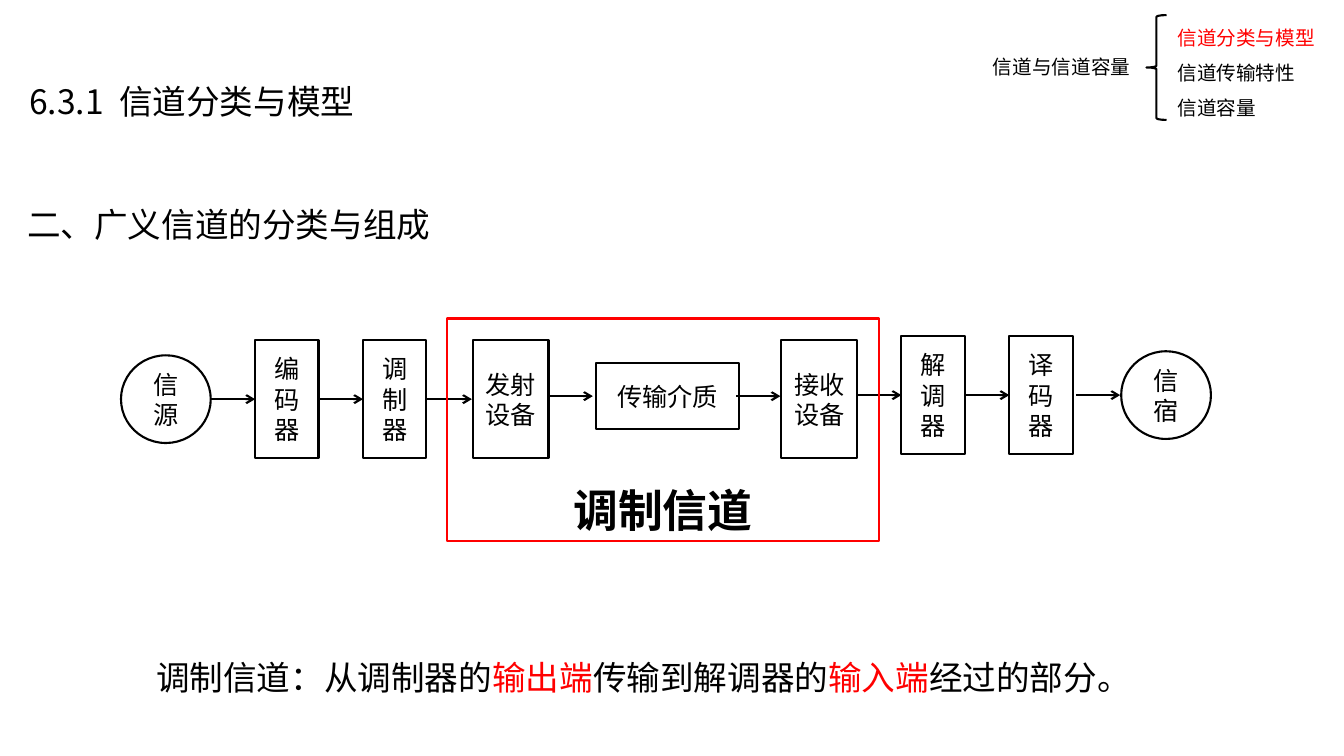
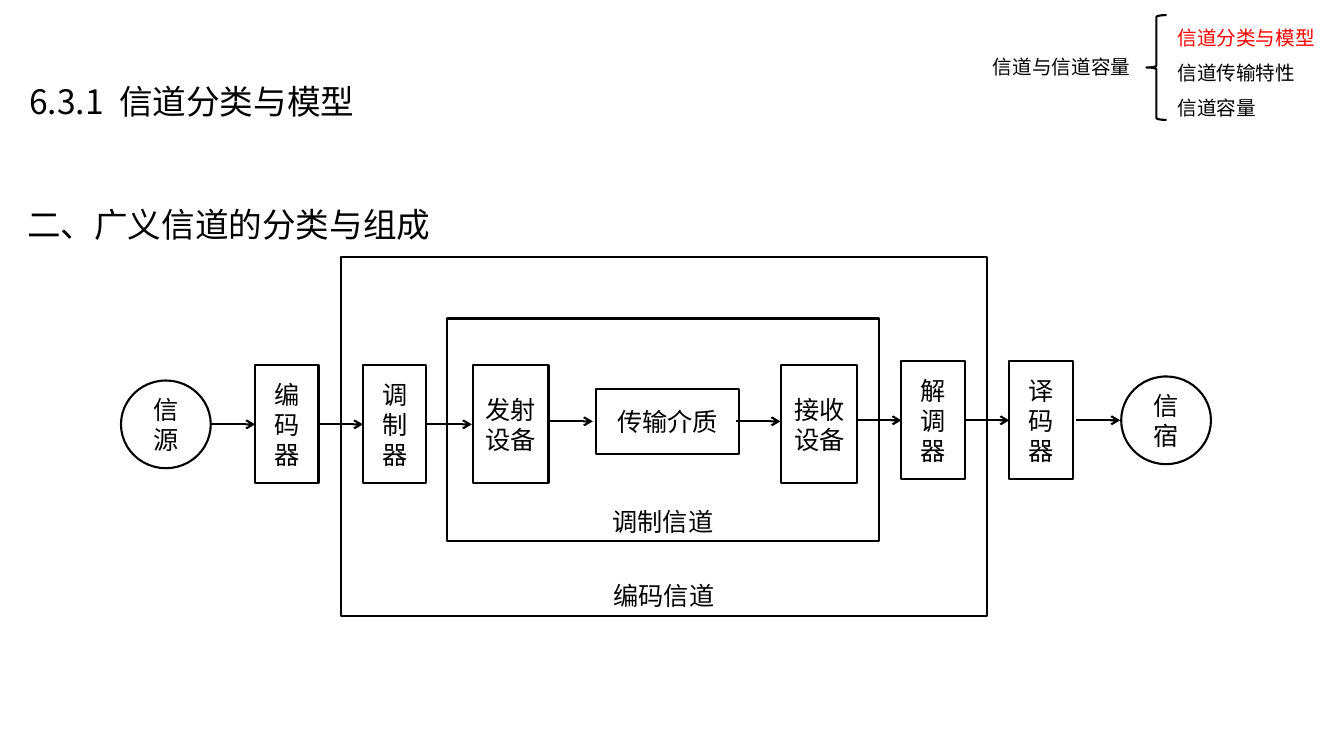
from lxml.etree import SubElement
from pptx import Presentation
from pptx.dml.color import RGBColor
from pptx.enum.shapes import MSO_CONNECTOR as CONN, MSO_SHAPE as SHAPE
from pptx.enum.text import MSO_ANCHOR as ANCHOR, MSO_AUTO_SIZE as AUTO, PP_ALIGN as ALIGN
from pptx.oxml.ns import qn
from pptx.util import Inches, Pt

FONT = "Noto Sans CJK SC"
COLORS = {"ink": "000000", "accent": "FF0000"}
LINE_W = 1.5

# Shared text: each paragraph is a list of (text, colour) runs
TITLE = [("6.3.1", "ink"), (" ", "ink"), ("信道分类与模型", "ink")]
SECTION = [[("二、广义信道的分类与组成", "ink")]]
CHAPTER = [[("信道与信道容量", "ink")]]
TOPICS = [[("信道分类与模型", "accent")], [("信道传输特性", "ink")], [("信道容量", "ink")]]
DEFINITION = [[("调制信道：从调制器的", "ink"), ("输出端", "accent"),
               ("传输到解调器的", "ink"), ("输入端", "accent"), ("经过的部分。", "ink")]]

# Chain of blocks: kind -> (shape, width, height)
KINDS = {
    "end": (SHAPE.OVAL, 0.89, 0.87),
    "coder": (SHAPE.RECTANGLE, 0.63, 1.17),
    "device": (SHAPE.RECTANGLE, 0.75, 1.17),
    "medium": (SHAPE.RECTANGLE, 1.42, 0.65),
}
# (label, kind, left, centre height)
BLOCKS = [
    ("信源", "end", 1.2, 3.96), ("编码器", "coder", 2.53, 3.96),
    ("调制器", "coder", 3.6, 3.96), ("发射设备", "device", 4.69, 3.96),
    ("传输介质", "medium", 5.91, 3.93), ("接收设备", "device", 7.75, 3.96),
    ("解调器", "coder", 8.94, 3.92), ("译码器", "coder", 10.01, 3.92),
    ("信宿", "end", 11.12, 3.92),
]
ARROW_LEN = 0.44
ARROWS = [(2.09, 3.96), (3.16, 3.96), (4.24, 3.96), (5.44, 3.93), (7.3, 3.93),
          (8.5, 3.92), (9.57, 3.92), (10.67, 3.92)]  # (start, height)

MODULATION_BOX = (4.43, 3.16, 4.29, 2.21)
CODING_BOX = (3.38, 2.55, 6.41, 3.56)
# frames: (label, box, line colour, text size, bold)
SLIDES = [
    {"drop": 0, "grouped": False, "definition": DEFINITION,
     "frames": [("调制信道", MODULATION_BOX, "accent", 32, True)]},
    {"drop": 0.25, "grouped": True, "definition": None,
     "frames": [("调制信道", MODULATION_BOX, "ink", 18, False),
                ("编码信道", CODING_BOX, "ink", 18, False)]},
]


def rgb(name):
    return RGBColor.from_string(COLORS[name])


def add_runs(p, runs, size, bold=False):
    for text, color in runs:
        r = p.add_run()
        r.text = text
        f = r.font
        f.size, f.bold, f.name = Pt(size), bold, FONT
        f.color.rgb = rgb(color)
        SubElement(r._r.get_or_add_rPr(), qn("a:ea")).set("typeface", FONT)


def add_text(shapes, box, paragraphs, size, spacing=1.5):
    tf = shapes.add_textbox(*map(Inches, box)).text_frame
    tf.word_wrap = True
    for i, runs in enumerate(paragraphs):
        p = tf.add_paragraph() if i else tf.paragraphs[0]
        p.line_spacing = spacing
        add_runs(p, runs, size)


def add_outline(shapes, kind, box, color="ink"):
    sp = shapes.add_shape(kind, *map(Inches, box))
    sp.shadow.inherit = False
    sp.fill.background()
    sp.line.color.rgb = rgb(color)
    sp.line.width = Pt(LINE_W)
    return sp


def add_block(shapes, kind, box, label, color="ink", size=18, bold=False, anchor=ANCHOR.MIDDLE):
    tf = add_outline(shapes, kind, box, color).text_frame
    tf.word_wrap = True
    tf.vertical_anchor = anchor
    p = tf.paragraphs[0]
    p.alignment = ALIGN.CENTER
    add_runs(p, [(label, "ink")], size, bold)


def add_arrow(shapes, x, y):
    c = shapes.add_connector(CONN.STRAIGHT, *map(Inches, (x, y, x + ARROW_LEN, y)))
    c.line.color.rgb = rgb("ink")
    c.line.width = Pt(LINE_W)
    SubElement(c.line._get_or_add_ln(), qn("a:tailEnd")).set("type", "arrow")
    SubElement(c._element.spPr, qn("a:effectLst"))


def add_header(s):
    # Title
    t = s.shapes.title
    t.left, t.top, t.width, t.height = map(Inches, (0.17, 0.38, 3.74, 1.04))
    tf = t.text_frame
    tf.word_wrap, tf.auto_size, tf.vertical_anchor = True, AUTO.NONE, ANCHOR.MIDDLE
    tf.margin_left = tf.margin_right = Inches(0.12)
    tf.margin_top = tf.margin_bottom = Inches(0.06)
    p = tf.paragraphs[0]
    p.alignment, p.line_spacing = ALIGN.LEFT, 1.5
    add_runs(p, TITLE, 24)
    p.runs[1]._r.get_or_add_rPr().set("spc", "540")  # widen the gap after the number
    # Section line and chapter outline
    add_text(s.shapes, (0.17, 1.77, 13.23, 0.64), SECTION, 24)
    add_text(s.shapes, (9.75, 0.5, 1.62, 0.34), CHAPTER, 14, 1)
    add_outline(s.shapes, SHAPE.LEFT_BRACE, (11.37, 0.15, 0.2, 1.04))
    add_text(s.shapes, (11.58, 0.09, 1.83, 1.16), TOPICS, 14)


def add_chain(shapes, drop, frames):
    for label, kind, x, mid in BLOCKS:
        shape, w, h = KINDS[kind]
        add_block(shapes, shape, (x, mid + drop - h / 2, w, h), label)
    for x, y in ARROWS:
        add_arrow(shapes, x, y + drop)
    for label, box, color, size, bold in frames:
        add_block(shapes, SHAPE.RECTANGLE, box, label, color, size, bold, ANCHOR.BOTTOM)


def main():
    prs = Presentation()
    prs.slide_width, prs.slide_height = Inches(13.33), Inches(7.5)
    for spec_ in SLIDES:
        s = prs.slides.add_slide(prs.slide_layouts[5])
        add_header(s)
        shapes = s.shapes.add_group_shape().shapes if spec_["grouped"] else s.shapes
        add_chain(shapes, spec_["drop"], spec_["frames"])
        if spec_["definition"]:
            add_text(s.shapes, (1.45, 6.27, 10.55, 0.64), spec_["definition"], 24)
    prs.save("out.pptx")


if __name__ == "__main__":
    main()
